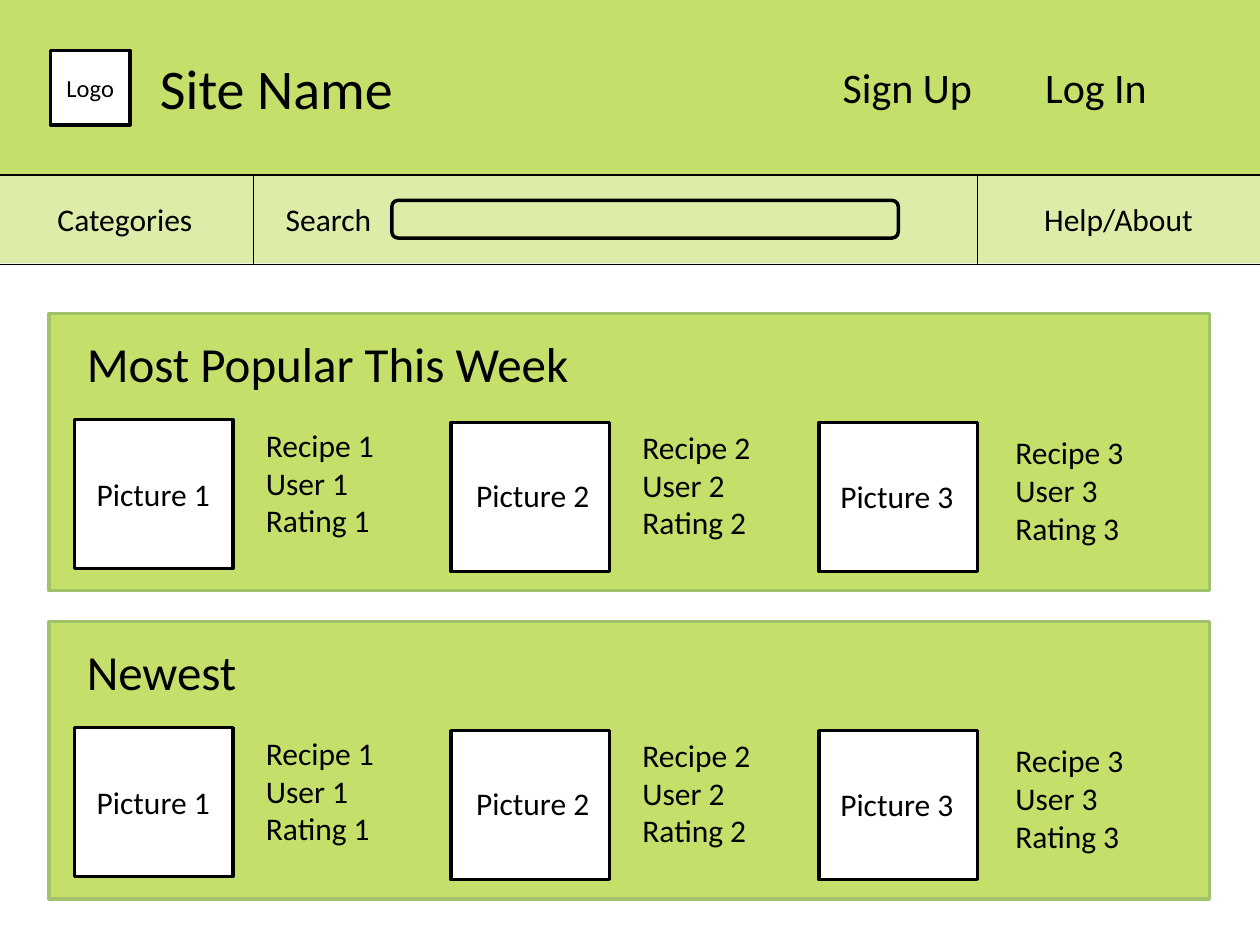
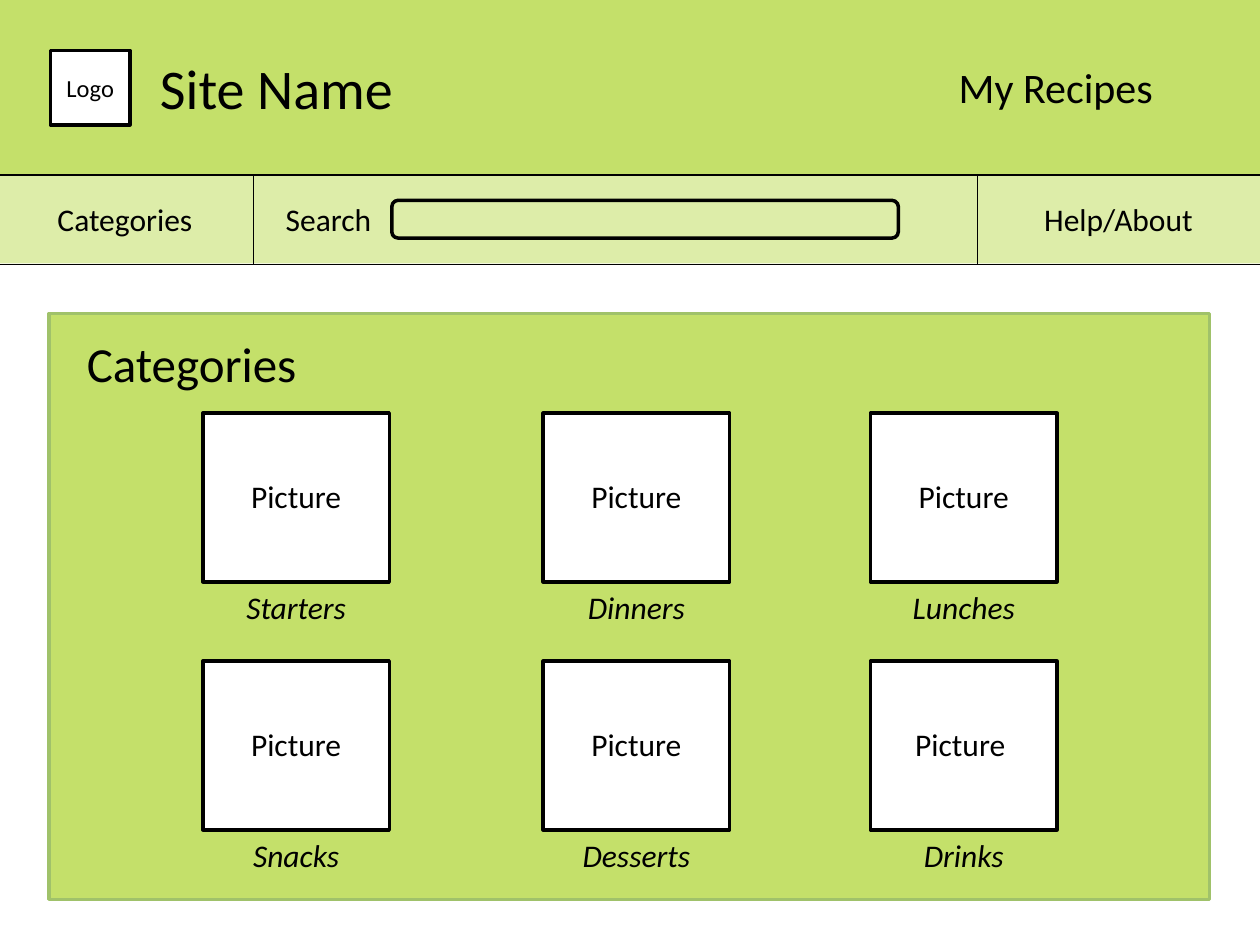
from dataclasses import dataclass
from itertools import product
from lxml.etree import SubElement
from pptx import Presentation
from pptx.dml.color import RGBColor
from pptx.enum.shapes import MSO_CONNECTOR, MSO_SHAPE
from pptx.enum.text import MSO_ANCHOR, PP_ALIGN
from pptx.oxml.ns import qn
from pptx.slide import Slide
from pptx.util import Cm, Pt

COLORS = {"band": "C4E06A", "nav": "DDEDA9", "edge": "A0C26A",
          "ink": "000000", "paper": "FFFFFF"}
FONT = "Calibri"
LEFT, MID, RIGHT = PP_ALIGN.LEFT, PP_ALIGN.CENTER, PP_ALIGN.RIGHT
WIDTH, HEIGHT = 25.4, 19.05
NAV_TOP, NAV_END = 3.53, 5.33
PANEL_X, PANEL_Y, PANEL_W = 0.99, 6.32, 23.39


@dataclass
class Box:
    x: float
    y: float
    w: float
    h: float

    def place(self) -> tuple:
        return Cm(self.x), Cm(self.y), Cm(self.w), Cm(self.h)


@dataclass
class Label:
    text: str
    box: Box
    size: int = 18
    align: PP_ALIGN = LEFT
    middle: bool = False
    italic: bool = False


@dataclass
class Recipe:
    """One column of a recipe panel; drops are measured from the panel top."""
    number: int
    frame_x: float
    frame_drop: float
    name_x: float
    name_drop: float
    name_w: float
    info_x: float
    info_drop: float


RECIPES = [Recipe(1, 1.5, 2.14, 1.7, 3.13, 2.79, 5.11, 2.14),
           Recipe(2, 9.09, 2.2, 9.35, 3.16, 2.95, 12.7, 2.18),
           Recipe(3, 16.51, 2.2, 16.69, 3.18, 3.0, 20.22, 2.29)]

# Names by grid row, each with the text in its frame
TILES = [("Starters", "Picture"), ("Dinners", "Picture"), ("Lunches", "Picture"),
         ("Snacks", "Picture"), ("Desserts", "Picture"), ("Drinks", "Picture ")]


def color(name: str) -> RGBColor:
    return RGBColor.from_string(COLORS[name])


def draw_box(slide: Slide, box: Box, fill: str = "", line: str = "",
             kind: MSO_SHAPE = MSO_SHAPE.RECTANGLE):
    shape = slide.shapes.add_shape(kind, *box.place())
    shape.shadow.inherit = False
    if fill:
        shape.fill.solid()
        shape.fill.fore_color.rgb = color(fill)
    else:
        shape.fill.background()
    if line:
        shape.line.color.rgb = color(line)
        shape.line.width = Pt(2)
    else:
        shape.line.fill.background()
    return shape


def write(shape, label: Label) -> None:
    frame = shape.text_frame
    frame.word_wrap = True
    frame.vertical_anchor = MSO_ANCHOR.MIDDLE if label.middle else MSO_ANCHOR.TOP
    if label.align == LEFT:
        frame.margin_right = 0
    for i, text in enumerate(label.text.split("\n")):
        para = frame.paragraphs[0] if i == 0 else frame.add_paragraph()
        para.alignment = label.align
        run = para.add_run()
        run.text = text
        font = run.font
        font.name, font.size, font.italic = FONT, Pt(label.size), label.italic
        font.color.rgb = color("ink")


def draw_label(slide: Slide, label: Label) -> None:
    write(slide.shapes.add_textbox(*label.box.place()), label)


def draw_line(slide: Slide, x1: float, y1: float, x2: float, y2: float) -> None:
    line = slide.shapes.add_connector(
        MSO_CONNECTOR.STRAIGHT, Cm(x1), Cm(y1), Cm(x2), Cm(y2))
    line.line.color.rgb = color("ink")
    line.line.width = Pt(0.75)
    SubElement(line._element.spPr, qn("a:effectLst"))


def draw_top(slide: Slide, links: list[Label]) -> None:
    # Bands
    draw_box(slide, Box(0, 3.51, WIDTH, 1.8), "nav")
    draw_box(slide, Box(0, 0, WIDTH, NAV_TOP), "band")
    # Site mark and name
    mark = Box(1.02, 1.02, 1.6, 1.5)
    write(draw_box(slide, mark, "paper", "ink"), Label("Logo", mark, 14, MID, True))
    draw_label(slide, Label("Site Name", Box(2.87, 0.94, 5.41, 1.63), 32, MID, True))
    # Navigation
    for text, x, w in (("Categories", 0.91, 3.4), ("Search", 5.51, 2.39),
                       ("Help/About", 20.8, 3.61)):
        draw_label(slide, Label(text, Box(x, 3.91, w, 1.02)))
    draw_box(slide, Box(7.9, 4.04, 10.21, 0.76), line="ink",
             kind=MSO_SHAPE.ROUNDED_RECTANGLE)
    # Rules
    for y in (NAV_TOP, NAV_END):
        draw_line(slide, 0, y, WIDTH, y)
    for x in (5.11, 19.71):
        draw_line(slide, x, NAV_TOP, x, NAV_END)
    # Account links
    for link in links:
        draw_label(slide, link)


def draw_panel(slide: Slide, title: str, top: float, high: float) -> None:
    draw_box(slide, Box(PANEL_X, top, PANEL_W, high), "band", "edge")
    draw_label(slide, Label(title, Box(1.5, top + 0.28, 10.59, 1.45), 28))


def draw_recipe(slide: Slide, item: Recipe, top: float) -> None:
    n = item.number
    draw_box(slide, Box(item.frame_x, top + item.frame_drop, 3.2, 3), "paper", "ink")
    draw_label(slide, Label(f"Picture {n}", Box(
        item.name_x, top + item.name_drop, item.name_w, 1.02)))
    draw_label(slide, Label(f"Recipe {n}\nUser {n}\nRating {n}", Box(
        item.info_x, top + item.info_drop, 3.4, 2.57)))


def draw_tile(slide: Slide, name: str, text: str, x: float, y: float) -> None:
    w = 3.76
    draw_box(slide, Box(x, y, w, 3.4), "paper", "ink")
    draw_label(slide, Label(text, Box(x, y + 1.17, w, 1.02), align=MID))
    draw_label(slide, Label(name, Box(x, y + 3.4, w, 1.02), align=MID, italic=True))


deck = Presentation()
deck.slide_width, deck.slide_height = Cm(WIDTH), Cm(HEIGHT)
blank = deck.slide_layouts[6]

# Home page
home = deck.slides.add_slide(blank)
draw_top(home, [Label("Sign Up", Box(16.69, 1.12, 3.2, 1.27), 24, MID, True),
                Label("Log In", Box(20.7, 1.12, 2.79, 1.27), 24, MID, True)])
for row, title in enumerate(("Most Popular This Week", "Newest")):
    top = PANEL_Y + row * 6.21
    draw_panel(home, title, top, 5.59)
    for item in RECIPES:
        draw_recipe(home, item, top)

# Category page
page = deck.slides.add_slide(blank)
draw_top(page, [Label("My Recipes", Box(16.1, 1.12, 7.39, 1.27), 24, RIGHT, True)])
draw_panel(page, "Categories", PANEL_Y, 11.81)
for (y, x), (name, text) in zip(product((8.33, 13.33), (4.09, 10.95, 17.55)), TILES):
    draw_tile(page, name, text, x, y)

deck.save("out.pptx")
